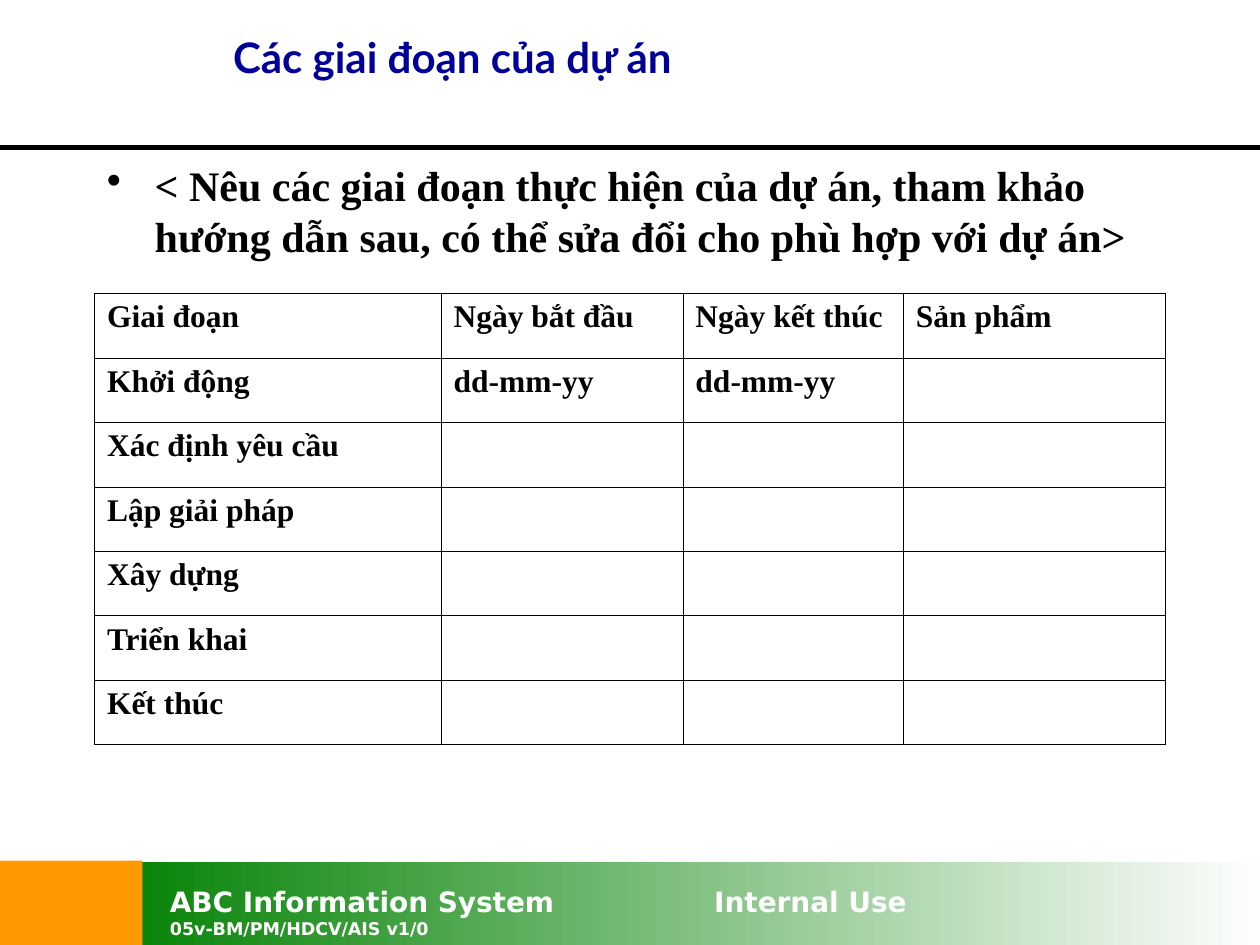
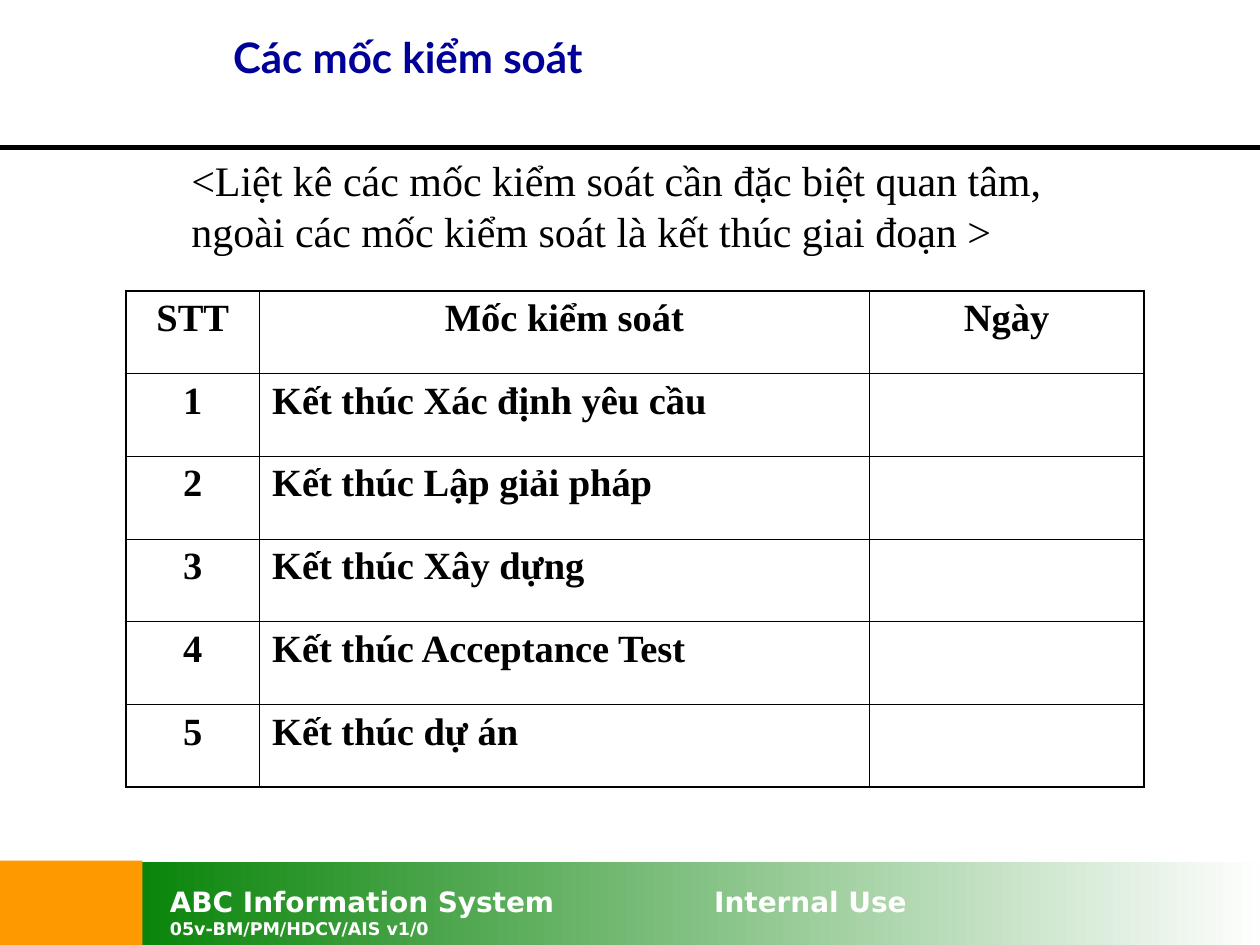
from lxml import etree
from pptx import Presentation, util as u
from pptx.dml.color import RGBColor
from pptx.enum import shapes, text
from pptx.oxml.ns import qn

# Content
FOOTER = ["ABC Information System\tInternal Use", "05v-BM/PM/HDCV/AIS v1/0"]
PAGES = [
    {
        "title": "Các giai đoạn của dự án",
        "width": 8.08,
        "note": "< Nêu các giai đoạn thực hiện của dự án, tham khảo "
                "hướng dẫn sau, có thể sửa đổi cho phù hợp với dự án>",
        "box": (0.75, 1.22, 8.5, 2.58), "bold": True, "bullet": True, "before": 6,
        "at": (0.75, 2.33), "cols": [2.75, 1.92, 1.75, 2.08], "high": 3.58,
        "size": 18, "gap": 4.5, "center": False,
        "rows": [
            ["Giai đoạn", "Ngày bắt đầu", "Ngày kết thúc", "Sản phẩm"],
            ["Khởi động", "dd-mm-yy", "dd-mm-yy", ""],
            *[[name, "", "", ""] for name in
              ("Xác định yêu cầu", "Lập giải pháp", "Xây dựng", "Triển khai", "Kết thúc")],
        ],
    },
    {
        "title": "Các mốc kiểm soát",
        "width": 7.61,
        "note": "<Liệt kê các mốc kiểm soát cần đặc biệt quan tâm, "
                "ngoài các mốc kiểm soát là kết thúc giai đoạn >",
        "box": (1.42, 1.18, 7.67, 0.9), "bold": False, "bullet": False, "before": 15,
        "at": (1, 2.31), "cols": [1.06, 4.84, 2.18], "high": 3.94,
        "size": 22, "gap": 5.5, "center": True,
        "rows": [
            ["STT", "Mốc kiểm soát", "Ngày"],
            *[[str(n), "Kết thúc " + name, ""] for n, name in enumerate(
                ("Xác định yêu cầu", "Lập giải pháp", "Xây dựng",
                 "Acceptance Test", "dự án"), 1)],
        ],
    },
]

# Shared style
BLACK, WHITE, NAVY, GREEN, AMBER, PALE = (
    "000000", "FFFFFF", "000099", "008000", "FF9900", "FEFEFE")
SERIF, SANS, HEAD = "Times New Roman", "DejaVu Sans", "Lato"
THIN, THICK = 0.45, 1.08


def color(code):
    return RGBColor.from_string(code)


def inches(vals):
    return [u.Inches(v) for v in vals]


def style(para, size, face, code, bold=True):
    for run in para.runs:
        font = run.font
        font.size, font.name, font.bold = u.Pt(size), face, bold
        font.color.rgb = color(code)


def add_text(slide, box, lines):
    frame = slide.shapes.add_textbox(*inches(box)).text_frame
    frame.word_wrap = True
    frame.text = "\n".join(lines)
    return frame


def add_rect(slide, box):
    rect = slide.shapes.add_shape(shapes.MSO_SHAPE.RECTANGLE, *inches(box))
    rect.shadow.inherit = False
    rect.line.fill.background()
    return rect


def add_frame(slide):
    # Footer band
    fill = add_rect(slide, (0.75, 6.84, 9.25, 0.67)).fill
    fill.gradient()
    fill.gradient_angle = 0
    for stop, code in zip(fill.gradient_stops, (GREEN, PALE)):
        stop.color.rgb = color(code)
    frame = add_text(slide, (1.25, 6.97, 8.75, 0.54), FOOTER)
    frame.auto_size = text.MSO_AUTO_SIZE.SHAPE_TO_FIT_TEXT
    for para, size in zip(frame.paragraphs, (16, 10)):
        style(para, size, SANS, WHITE)
    props = frame.paragraphs[0]._p.get_or_add_pPr()
    tabs = etree.SubElement(props, qn("a:tabLst"))
    etree.SubElement(tabs, qn("a:tab"), pos=str(u.Inches(4.32)), algn="l")
    fill = add_rect(slide, (0, 6.83, 1.13, 0.67)).fill
    fill.solid()
    fill.fore_color.rgb = color(AMBER)
    # Rule under the title
    rule = slide.shapes.add_connector(
        shapes.MSO_CONNECTOR.STRAIGHT, *inches((0, 1.17, 10, 1.17)))
    rule.line.width = u.Pt(3)
    rule.line.color.rgb = color(BLACK)
    etree.SubElement(rule._element.spPr, qn("a:effectLst"))


def add_title(slide, page):
    title = slide.shapes.title
    title.left, title.top, title.width, title.height = inches(
        (1.75, 0.07, page["width"], 0.76))
    frame = title.text_frame
    frame.text = page["title"]
    frame.auto_size = text.MSO_AUTO_SIZE.NONE
    frame.vertical_anchor = text.MSO_ANCHOR.MIDDLE
    frame.paragraphs[0].alignment = text.PP_ALIGN.LEFT
    style(frame.paragraphs[0], 24, HEAD, NAVY)


def add_note(slide, page):
    frame = add_text(slide, page["box"], [page["note"]])
    para = frame.paragraphs[0]
    para.space_before = u.Pt(page["before"])
    style(para, 24, SERIF, BLACK, page["bold"])
    if page["bullet"]:
        props = para._p.get_or_add_pPr()
        props.set("marL", str(u.Inches(0.38)))
        props.set("indent", str(-u.Inches(0.38)))
        etree.SubElement(props, qn("a:buChar"), char="•")
    else:
        frame.auto_size = text.MSO_AUTO_SIZE.SHAPE_TO_FIT_TEXT


def set_edges(cell, outer):
    props = cell._tc.get_or_add_tcPr()
    for i, (side, out) in enumerate(zip("LRTB", outer)):
        line = etree.Element(qn("a:ln" + side), w=str(u.Pt(THICK if out else THIN)))
        fill = etree.SubElement(line, qn("a:solidFill"))
        etree.SubElement(fill, qn("a:srgbClr"), val=BLACK)
        props.insert(i, line)


def add_grid(slide, page):
    rows, cols = page["rows"], page["cols"]
    last, end = len(rows) - 1, len(cols) - 1
    box = inches((*page["at"], sum(cols), page["high"]))
    table = slide.shapes.add_table(len(rows), len(cols), *box).table
    table.first_row = table.horz_banding = False
    for col, width in zip(table.columns, cols):
        col.width = u.Inches(width)
    for r, row in enumerate(rows):
        for c, word in enumerate(row):
            cell = table.cell(r, c)
            cell.fill.background()
            set_edges(cell, (c == 0, c == end, r == 0, r == last))
            cell.text = word
            para = cell.text_frame.paragraphs[0]
            para.space_before = u.Pt(page["gap"])
            if page["center"] and (r == 0 or c == 0):
                para.alignment = text.PP_ALIGN.CENTER
            style(para, page["size"], SERIF, BLACK)


def main():
    deck = Presentation()
    deck.slide_width, deck.slide_height = inches((10, 7.5))
    for page in PAGES:
        slide = deck.slides.add_slide(deck.slide_layouts[5])
        add_frame(slide)
        add_title(slide, page)
        add_note(slide, page)
        add_grid(slide, page)
    deck.save("out.pptx")


if __name__ == "__main__":
    main()
